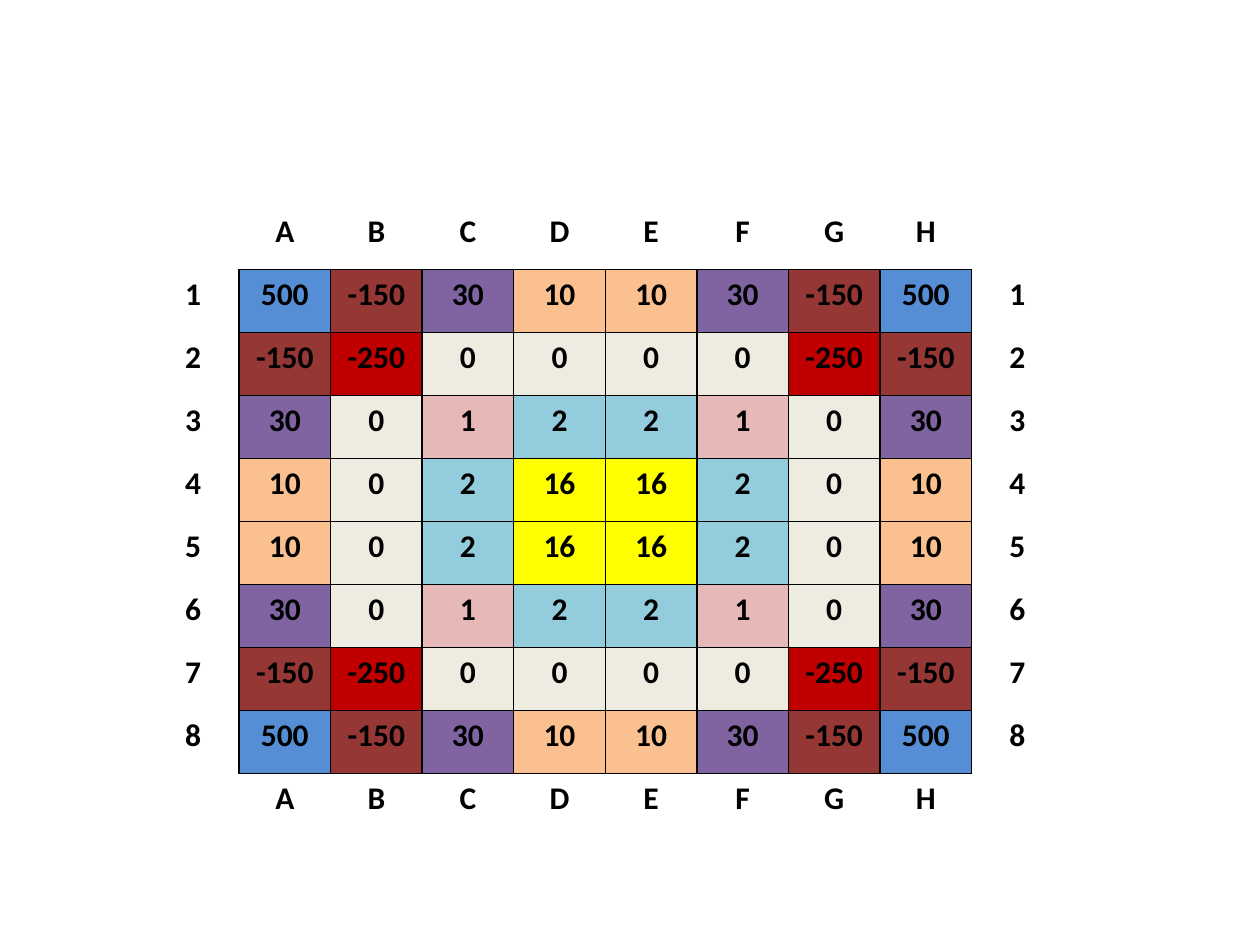
from lxml import etree
from pptx import Presentation
from pptx.dml.color import RGBColor
from pptx.enum.text import PP_ALIGN
from pptx.oxml.ns import qn
from pptx.util import Inches, Pt

COLORS = {"text": "000000", "line": "000000", "margin": "FFFFFF"}
VALUE_COLORS = {
    500: "558ED5", -150: "953735", -250: "C00000", 30: "8064A2", 10: "FAC090",
    0: "EEECE1", 1: "E6B9B8", 2: "93CDDD", 16: "FFFF00",
}
# Top-left quarter of the board; the rest mirrors it
QUARTER = [
    [500, -150, 30, 10],
    [-150, -250, 0, 0],
    [30, 0, 1, 2],
    [10, 0, 2, 16],
]
SIDES = {"lnL": (0, -1), "lnR": (0, 1), "lnT": (-1, 0), "lnB": (1, 0)}
FONT = {"name": "Calibri", "size": Pt(18), "bold": True}


def mirror(items):
    return items + items[::-1]


def on_board(row, col):
    return 1 <= row <= 8 and 1 <= col <= 8


def set_borders(cell, row, col):
    """Draw each side that touches a board square and clear the others."""
    tcPr = cell._tc.get_or_add_tcPr()
    for tag, (dr, dc) in SIDES.items():
        ln = etree.SubElement(tcPr, qn(f"a:{tag}"), w=str(Pt(1)))
        if on_board(row, col) or on_board(row + dr, col + dc):
            fill = etree.SubElement(ln, qn("a:solidFill"))
            etree.SubElement(fill, qn("a:srgbClr"), val=COLORS["line"])
        else:
            etree.SubElement(ln, qn("a:noFill"))


def set_cell(cell, text, color):
    cell.fill.solid()
    cell.fill.fore_color.rgb = RGBColor.from_string(color)
    if not text:
        return
    p = cell.text_frame.paragraphs[0]
    p.alignment = PP_ALIGN.CENTER
    r = p.add_run()
    r.text = text
    for name, value in FONT.items():
        setattr(r.font, name, value)
    r.font.color.rgb = RGBColor.from_string(COLORS["text"])


def add_board(s, left, top, width, height):
    board = mirror([mirror(row) for row in QUARTER])
    letters = ["", *"ABCDEFGH", ""]
    size = len(letters)
    table = s.shapes.add_table(size, size, left, top, width, height).table
    for flag in ("first_row", "horz_banding"):
        setattr(table, flag, False)

    for row in range(size):
        for col in range(size):
            cell = table.cell(row, col)
            set_borders(cell, row, col)
            if on_board(row, col):
                value = board[row - 1][col - 1]
                set_cell(cell, str(value), VALUE_COLORS[value])
            else:
                # Letters above and below, numbers on both sides
                label = letters[col] if row in (0, size - 1) else str(row)
                set_cell(cell, label, COLORS["margin"])


def main():
    prs = Presentation()
    prs.slide_width, prs.slide_height = Inches(10), Inches(7.5)
    s = prs.slides.add_slide(prs.slide_layouts[6])
    add_board(s, Inches(1.17), Inches(1.64), Inches(7.27), Inches(5))
    prs.save("out.pptx")


if __name__ == "__main__":
    main()
